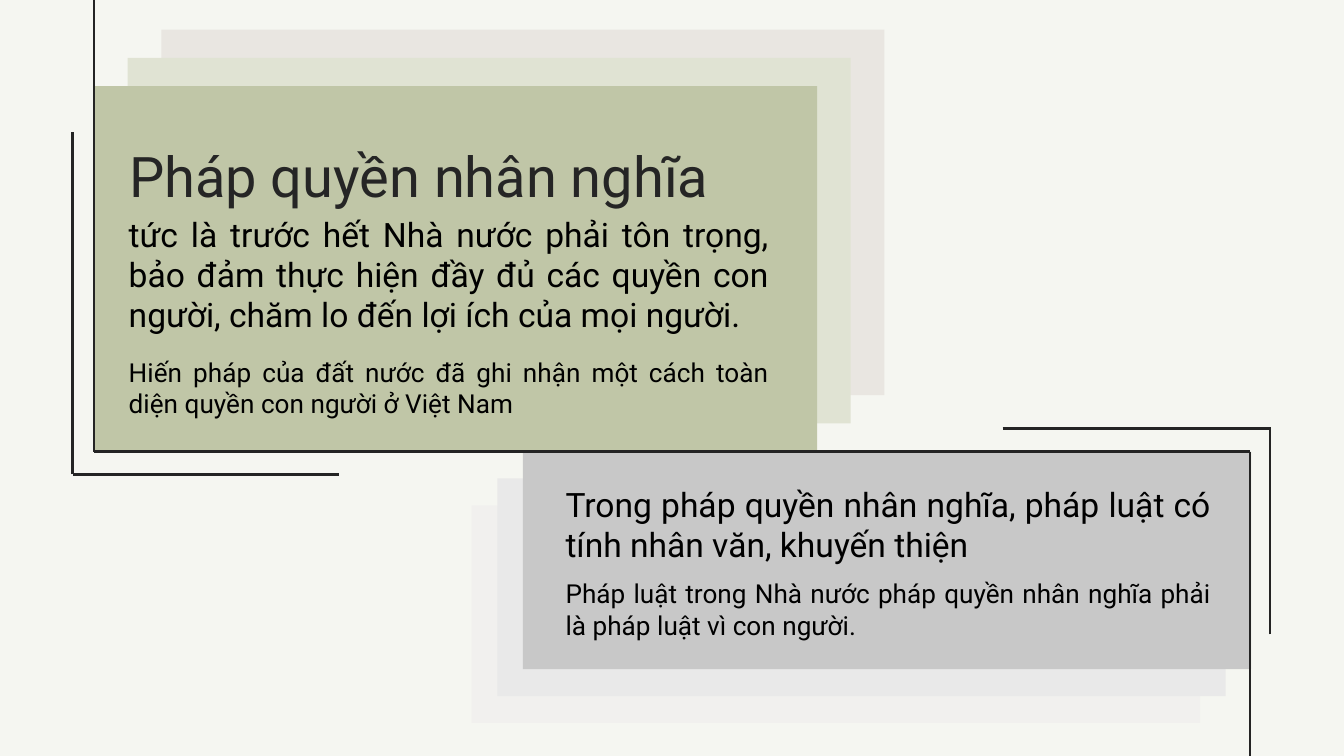
from lxml.etree import SubElement
from pptx import Presentation
from pptx.dml.color import RGBColor
from pptx.enum.shapes import MSO_CONNECTOR, MSO_SHAPE
from pptx.enum.text import MSO_ANCHOR, MSO_AUTO_SIZE, PP_ALIGN
from pptx.oxml.ns import qn
from pptx.util import Inches, Pt

FONT = "Roboto"
BACKGROUND = RGBColor(0xF5, 0xF6, 0xF1)
BLACK = RGBColor(0x00, 0x00, 0x00)
TITLE_INK = RGBColor(0x25, 0x25, 0x25)
LINE_INK = RGBColor(0x24, 0x24, 0x24)
GREENS = [RGBColor(0xC0, 0xC6, 0xA7), RGBColor(0xE0, 0xE3, 0xD3), RGBColor(0xE9, 0xE6, 0xE1)]
GREYS = [RGBColor(0xC8, 0xC8, 0xC8), RGBColor(0xE9, 0xE9, 0xE9), RGBColor(0xF1, 0xF0, 0xEE)]

WIDTH = 10
HEIGHT = WIDTH * 9 / 16
LEFT, MIDDLE, RIGHT = 0.7, 3.36, 9.3

PASSAGES = [
    (0.86, 1.54, 4.96, 1.01, 18,
     "tức là trước hết Nhà nước phải tôn trọng, bảo đảm thực hiện đầy đủ các "
     "quyền con người, chăm lo đến lợi ích của mọi người."),
    (0.86, 2.6, 4.96, 0.57, 14,
     "Hiến pháp của đất nước đã ghi nhận một cách toàn diện quyền con người ở Việt Nam"),
    (4.11, 3.55, 5, 0.71, 18,
     "Trong pháp quyền nhân nghĩa, pháp luật có tính nhân văn, khuyến thiện"),
    (4.11, 4.25, 5, 0.57, 14,
     "Pháp luật trong Nhà nước pháp quyền nhân nghĩa phải là pháp luật vì con người."),
]

FRAME_LINES = [
    (LEFT, MIDDLE, LEFT, -0.67),
    (LEFT, MIDDLE, RIGHT, MIDDLE),
    (RIGHT, 7.38, RIGHT, MIDDLE),
    (0.54, 3.53, 0.54, 0.98),
    (0.54, 3.53, 2.52, 3.53),
    (9.45, 4.72, 9.45, 3.18),
    (7.46, 3.19, 9.45, 3.19),
]


def add_card_stack(slide, left, top, width, height, step_x, step_y, colours):
    """Draw stepped cards from the rearmost colour to the front one."""
    for depth, colour in reversed(list(enumerate(colours))):
        card = slide.shapes.add_shape(
            MSO_SHAPE.RECTANGLE,
            Inches(left + depth * step_x), Inches(top + depth * step_y),
            Inches(width), Inches(height))
        card.shadow.inherit = False
        card.fill.solid()
        card.fill.fore_color.rgb = colour
        card.line.fill.background()


def write_text(frame, text, size, colour, alignment):
    """Fill a text frame with one styled paragraph."""
    frame.word_wrap = True
    frame.auto_size = MSO_AUTO_SIZE.NONE
    frame.vertical_anchor = MSO_ANCHOR.TOP
    paragraph = frame.paragraphs[0]
    paragraph.text = text
    paragraph.alignment = alignment
    paragraph.font.name = FONT
    paragraph.font.size = Pt(size)
    paragraph.font.color.rgb = colour


def add_passage(slide, left, top, width, height, size, text):
    """Add a justified passage."""
    passage = slide.shapes.add_textbox(
        Inches(left), Inches(top), Inches(width), Inches(height))
    write_text(passage.text_frame, text, size, BLACK, PP_ALIGN.JUSTIFY)


def place_title(slide, text):
    """Move the title placeholder onto the green card, in front of it."""
    title = slide.shapes.title
    title.left, title.top = Inches(0.86), Inches(1)
    title.width, title.height = Inches(4.96), Inches(0.61)
    write_text(title.text_frame, text, 30, TITLE_INK, PP_ALIGN.LEFT)
    title.element.getparent().append(title.element)


def add_frame_line(slide, *ends):
    """Draw one thin dark line without a shadow."""
    frame_line = slide.shapes.add_connector(
        MSO_CONNECTOR.STRAIGHT, *(Inches(end) for end in ends))
    frame_line.line.color.rgb = LINE_INK
    frame_line.line.width = Pt(1.5)
    SubElement(frame_line.element.spPr, qn("a:effectLst"))


def main():
    """Build the slide and save it."""
    presentation = Presentation()
    presentation.slide_width = Inches(WIDTH)
    presentation.slide_height = Inches(HEIGHT)
    slide = presentation.slides.add_slide(presentation.slide_layouts[5])
    slide.background.fill.solid()
    slide.background.fill.fore_color.rgb = BACKGROUND

    add_card_stack(slide, 3.89, MIDDLE, 5.42, 1.62, -0.19, 0.2, GREYS)
    add_card_stack(slide, LEFT, 0.64, 5.38, 2.72, 0.25, -0.21, GREENS)
    for passage in PASSAGES:
        add_passage(slide, *passage)
    place_title(slide, "Pháp quyền nhân nghĩa")
    for ends in FRAME_LINES:
        add_frame_line(slide, *ends)

    presentation.save("out.pptx")


if __name__ == "__main__":
    main()
